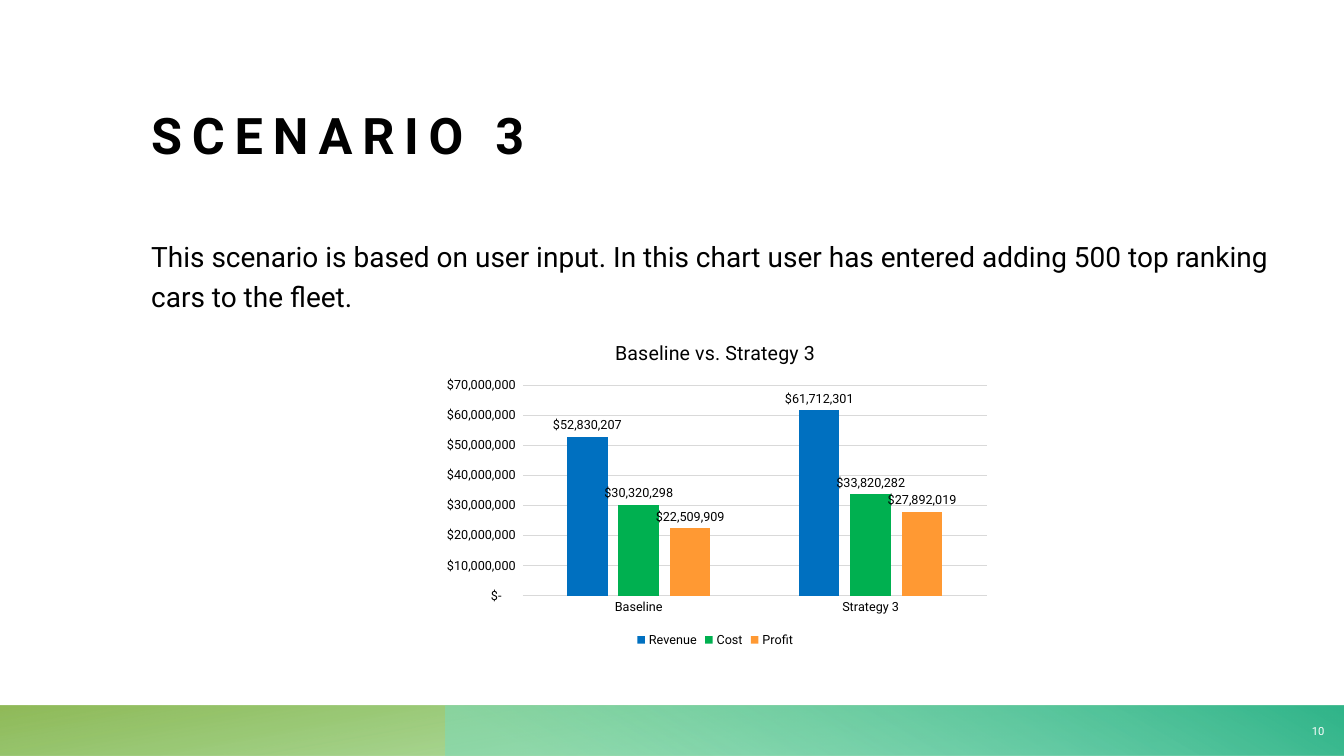
import pptx
import pptx.chart.data
import pptx.dml.color
import pptx.enum.chart
import pptx.enum.shapes
import pptx.enum.text
import pptx.oxml
import pptx.oxml.ns
import pptx.util
from pptx.util import Cm

FONT = "Roboto"
COLORS = {
    "text": "000000", "white": "FFFFFF", "grid": "D9D9D9",
    "lime": "47B732", "olive": "7DAE3B", "mint": "7BDBBC", "green": "31B58A",
    "Revenue": "0070C0", "Cost": "00B050", "Profit": "FF9933",
}
DOLLARS = r'_("$"* #,##0_);_("$"* \(#,##0\);_("$"* "-"??_);_(@_)'
RESULTS = {
    "Revenue": (52830207, 61712301),
    "Cost": (30320298, 33820282),
    "Profit": (22509909, 27892019),
}


def rgb(name):
    return pptx.dml.color.RGBColor.from_string(COLORS[name])


def set_font(font, size, color="text", bold=False):
    font.name, font.size, font.bold = FONT, pptx.util.Pt(size), bold
    font.color.rgb = rgb(color)


def write_text(sp, text, size=20, color="text", bold=False, spacing=0, align="LEFT",
               anchor="TOP", insets=(0, 0, 0, 0), line=1.0, before=0):
    """Put one formatted paragraph in a shape; insets are left, top, right, bottom in cm."""
    tf = sp.text_frame
    tf.word_wrap = True
    tf.auto_size = pptx.enum.text.MSO_AUTO_SIZE.NONE
    tf.vertical_anchor = getattr(pptx.enum.text.MSO_ANCHOR, anchor)
    tf.margin_left, tf.margin_top, tf.margin_right, tf.margin_bottom = map(Cm, insets)
    p = tf.paragraphs[0]
    p.alignment = getattr(pptx.enum.text.PP_ALIGN, align)
    p.line_spacing, p.space_before = line, pptx.util.Pt(before)
    r = p.add_run()
    r.text = text
    set_font(r.font, size, color, bold)
    if spacing:
        r.font._element.set("spc", str(spacing * 100))


def add_textbox(s, box, text, **style):
    write_text(s.shapes.add_textbox(*map(Cm, box)), text, **style)


def add_title(s, box, text, **style):
    sp = s.shapes.title
    sp.left, sp.top, sp.width, sp.height = map(Cm, box)
    write_text(sp, text, **style)


def add_gradient_bar(s, left, width, stops, angle, rotation=0):
    """Add a mirrored footer bar; each stop is position %, colour name, opacity %."""
    sp = s.shapes.add_shape(pptx.enum.shapes.MSO_SHAPE.RECTANGLE,
                            Cm(left), Cm(17.78), Cm(width), Cm(1.27))
    sp.shadow.inherit = False
    sp.line.fill.background()
    sp.rotation = rotation
    spPr = sp._element.spPr
    spPr.xfrm.set("flipH", "1")
    gs = "".join(
        f'<a:gs pos="{pos * 1000}"><a:srgbClr val="{COLORS[color]}">'
        f'<a:alpha val="{alpha * 1000}"/></a:srgbClr></a:gs>'
        for pos, color, alpha in stops)
    grad = pptx.oxml.parse_xml(
        f'<a:gradFill {pptx.oxml.ns.nsdecls("a")} rotWithShape="1"><a:gsLst>{gs}</a:gsLst>'
        f'<a:lin ang="{angle * 60000}" scaled="0"/></a:gradFill>')
    spPr.find(pptx.oxml.ns.qn("a:prstGeom")).addnext(grad)


def format_axis(axis):
    axis.major_tick_mark = axis.minor_tick_mark = pptx.enum.chart.XL_TICK_MARK.NONE
    set_font(axis.tick_labels.font, 9)


def format_line(line):
    line.color.rgb = rgb("grid")
    line.width = pptx.util.Pt(0.75)


def format_series(series):
    series.format.fill.solid()
    series.format.fill.fore_color.rgb = rgb(series.name)
    labels = series.data_labels
    labels.show_value = True
    labels.number_format, labels.number_format_is_linked = DOLLARS, False
    labels.position = pptx.enum.chart.XL_LABEL_POSITION.OUTSIDE_END
    set_font(labels.font, 9)


def add_column_chart(s, box, title, categories, results):
    data = pptx.chart.data.CategoryChartData(number_format=DOLLARS)
    data.categories = categories
    for name, values in results.items():
        data.add_series(name, values)
    chart = s.shapes.add_chart(pptx.enum.chart.XL_CHART_TYPE.COLUMN_CLUSTERED,
                               *map(Cm, box), data).chart
    set_font(chart.font, 10)

    chart.has_title = True
    r = chart.chart_title.text_frame.paragraphs[0].add_run()
    r.text = title
    set_font(r.font, 14)
    chart.chart_title.include_in_layout = False

    chart.has_legend = True
    chart.legend.position = pptx.enum.chart.XL_LEGEND_POSITION.BOTTOM
    chart.legend.include_in_layout = False
    set_font(chart.legend.font, 9)

    format_axis(chart.category_axis)
    format_line(chart.category_axis.format.line)
    axis = chart.value_axis
    format_axis(axis)
    axis.format.line.fill.background()
    format_line(axis.major_gridlines.format.line)
    axis.tick_labels.number_format = DOLLARS
    axis.tick_labels.number_format_is_linked = False

    plot = chart.plots[0]
    plot.gap_width, plot.overlap, plot.vary_by_categories = 219, -27, False
    for series in plot.series:
        format_series(series)


def main():
    prs = pptx.Presentation()
    prs.slide_width, prs.slide_height = Cm(33.87), Cm(19.05)
    s = prs.slides.add_slide(prs.slide_layouts[5])

    add_gradient_bar(s, 0, 33.87, [(14, "lime", 28), (100, "olive", 85)], 100, rotation=180)
    add_gradient_bar(s, 11.22, 22.65, [(9, "mint", 55), (99, "green", 100)], 240)
    add_title(s, (3.81, 2.21, 28.45, 3.43), "SCENARIO 3", size=36, bold=True, spacing=7,
              anchor="BOTTOM", insets=(0, 0, 0, 1.49))
    add_textbox(s, (3.81, 5.87, 28.45, 11),
                "This scenario is based on user input. In this chart user has entered "
                "adding 500 top ranking cars to the fleet.", line=1.2, before=10)
    add_column_chart(s, (10.9, 8.15, 14.25, 8.26), "Baseline vs. Strategy 3",
                     ("Baseline", "Strategy 3"), RESULTS)
    add_textbox(s, (32.41, 17.81, 1.22, 1.24), "10", size=8, color="white", align="RIGHT",
                anchor="MIDDLE", insets=(0.25, 0.13, 0.25, 0.13))
    prs.save("out.pptx")


if __name__ == "__main__":
    main()
